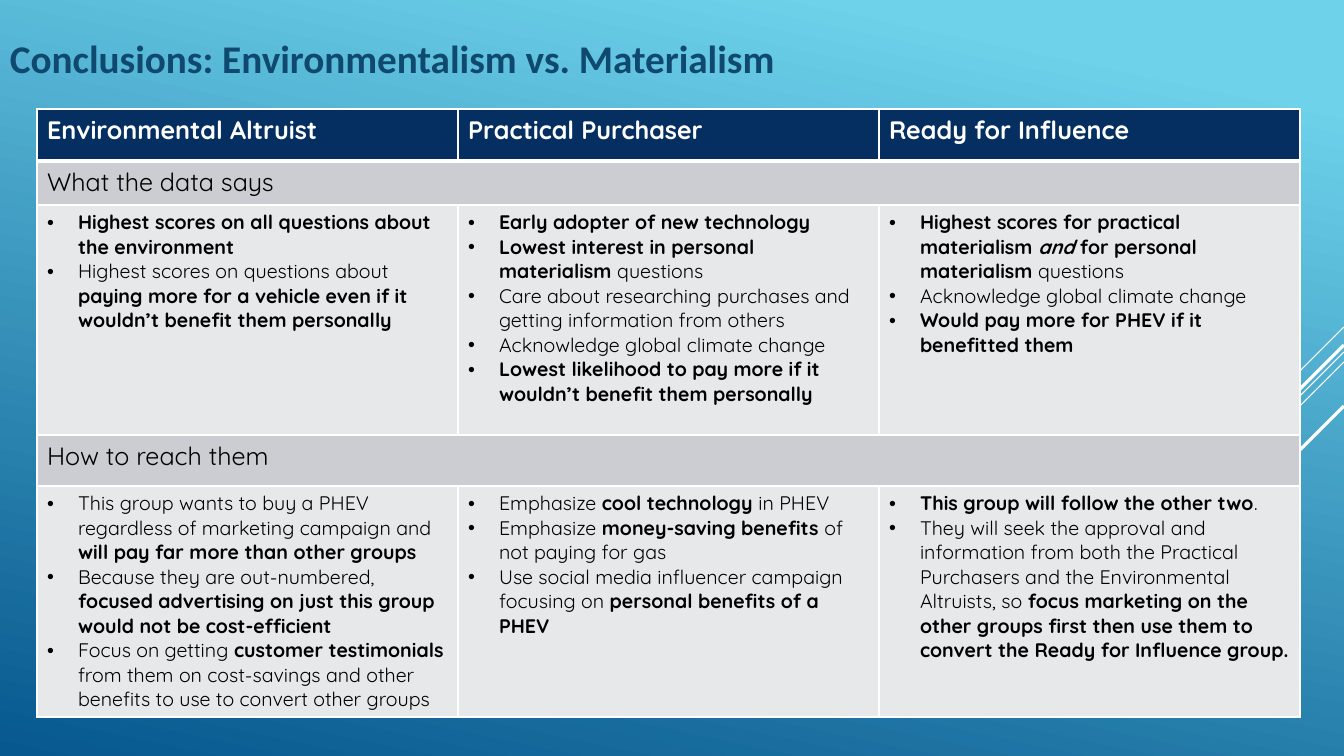
from lxml import etree
from pptx import Presentation
from pptx.dml.color import RGBColor
from pptx.enum.shapes import MSO_CONNECTOR
from pptx.enum.text import MSO_ANCHOR
from pptx.oxml.ns import qn
from pptx.util import Pt

STRAIGHT = MSO_CONNECTOR.STRAIGHT
MIDDLE = MSO_ANCHOR.MIDDLE
PX = 914400 / 100.8
WIDTH, HEIGHT = 1344, 756
COLORS = {
    "sky": "6ED2EB", "deep": "06588E", "title": "0F496F", "white": "FFFFFF",
    "black": "000000", "header": "052F61", "section": "CCCDD2", "body": "E7E8EA",
}

# In the cell text, "|" switches bold on and off and "_" switches italic.
HEADERS = ["|Environmental Altruist", "|Practical Purchaser", "|Ready for Influence"]
DATA_SAYS = [
    ["|Highest scores on all questions about the environment",
     "Highest scores on questions about |paying more for a vehicle even if it "
     "wouldn’t benefit them personally"],
    ["|Early adopter of new technology",
     "|Lowest interest in personal materialism |questions",
     "Care about researching purchases and getting information from others",
     "Acknowledge global climate change",
     "|Lowest likelihood to pay more if it wouldn’t benefit them personally"],
    ["|Highest scores for practical materialism _and _for personal materialism| questions",
     "Acknowledge global climate change",
     "|Would pay more for PHEV if it benefitted them"],
]
HOW_TO_REACH = [
    ["This group wants to buy a PHEV regardless of marketing campaign and "
     "|will pay far more than other groups",
     "Because they are out-numbered, |focused advertising on just this group "
     "would not be cost-efficient",
     "Focus on getting |customer testimonials |from them on cost-savings and other "
     "benefits to use to convert other groups"],
    ["Emphasize |cool technology |in PHEV",
     "Emphasize |money-saving benefits |of not paying for gas",
     "Use social media influencer campaign focusing on |personal benefits of a PHEV"],
    ["|This group will follow the other two|.",
     "They will seek the approval and information from both the Practical Purchasers "
     "and the Environmental Altruists, so |focus marketing on the other groups first "
     "then use them to convert the Ready for Influence group."],
]
# Row height, fill, text colour, text size, bulleted, paragraphs of each cell
ROWS = [
    (52, "header", "white", 18, False, [[header] for header in HEADERS]),
    (44, "section", "black", 18, False, [["What the data says"]]),
    (230, "body", "black", 14, True, DATA_SAYS),
    (51, "section", "black", 18, False, [["How to reach them"]]),
    (231, "body", "black", 14, True, HOW_TO_REACH),
]


def px(length):
    return round(length * PX)


def add_runs(paragraph, text, font_name, size, color):
    """Add one run for each stretch of text between the bold and italic marks."""
    for bold_index, stretch in enumerate(text.split("|")):
        for italic_index, piece in enumerate(stretch.split("_")):
            if piece:
                run = paragraph.add_run()
                run.text = piece
                run.font.name = font_name
                run.font.size = Pt(size)
                run.font.bold = bold_index % 2 == 1
                run.font.italic = italic_index % 2 == 1
                run.font.color.rgb = RGBColor.from_string(COLORS[color])


presentation = Presentation()
presentation.slide_width = px(WIDTH)
presentation.slide_height = px(HEIGHT)
slide = presentation.slides.add_slide(presentation.slide_layouts[6])

# Background
background = slide.background.fill
background.gradient()
background.gradient_angle = 258
for stop, position, color in zip(background.gradient_stops, (0.1, 1), ("sky", "deep")):
    stop.position = position
    stop.color.rgb = RGBColor.from_string(COLORS[color])

# Diagonal rays from the right edge: start height, run to the left, line width
for top, reach, weight in [(327, 101, 0.75), (352, 329, 0.75), (362, 209, 0.75),
                           (345, 193, 2.25), (406, 140, 2.25)]:
    ray = slide.shapes.add_connector(
        STRAIGHT, px(WIDTH), px(top), px(WIDTH - reach), px(top + reach))
    ray.line.color.rgb = RGBColor.from_string(COLORS["white"])
    ray.line.width = Pt(weight)
    etree.SubElement(ray._element.spPr, qn("a:effectLst"))

# Title
title = slide.shapes.add_textbox(0, px(1), px(1289), px(113)).text_frame
title.word_wrap = True
title.vertical_anchor = MIDDLE
title.paragraphs[0].space_before = Pt(5.6)
title.paragraphs[0].space_after = Pt(6)
add_runs(title.paragraphs[0], "|Conclusions: Environmentalism vs. Materialism",
         "Calibri", 28, "title")

# Table
column_width = 421
table = slide.shapes.add_table(
    len(ROWS), len(HEADERS), px(37), px(109), px(column_width * len(HEADERS)),
    px(sum(row[0] for row in ROWS))).table
for column in table.columns:
    column.width = px(column_width)

for row_index, (height, fill, color, size, bulleted, contents) in enumerate(ROWS):
    table.rows[row_index].height = px(height)
    for column_index in range(len(HEADERS)):
        cell = table.cell(row_index, column_index)
        properties = cell._tc.get_or_add_tcPr()
        for side in ("lnL", "lnR", "lnT", "lnB"):
            under_header = (row_index, side) in [(0, "lnB"), (1, "lnT")]
            border = etree.SubElement(properties, qn(f"a:{side}"),
                                      w=str(Pt(3 if under_header else 1)))
            solid = etree.SubElement(border, qn("a:solidFill"))
            etree.SubElement(solid, qn("a:srgbClr"), val=COLORS["white"])
        cell.fill.solid()
        cell.fill.fore_color.rgb = RGBColor.from_string(COLORS[fill])

    if len(contents) == 1:
        table.cell(row_index, 0).merge(table.cell(row_index, len(HEADERS) - 1))

    for column_index, texts in enumerate(contents):
        text_frame = table.cell(row_index, column_index).text_frame
        for text_index, text in enumerate(texts):
            paragraph = text_frame.add_paragraph() if text_index else text_frame.paragraphs[0]
            if bulleted:
                paragraph_properties = paragraph._p.get_or_add_pPr()
                paragraph_properties.set("marL", str(px(31)))
                paragraph_properties.set("indent", str(-px(31)))
                etree.SubElement(paragraph_properties, qn("a:buFont"), typeface="Arial")
                etree.SubElement(paragraph_properties, qn("a:buChar"), char="•")
            add_runs(paragraph, text, "Quicksand", size, color)

presentation.save("out.pptx")
